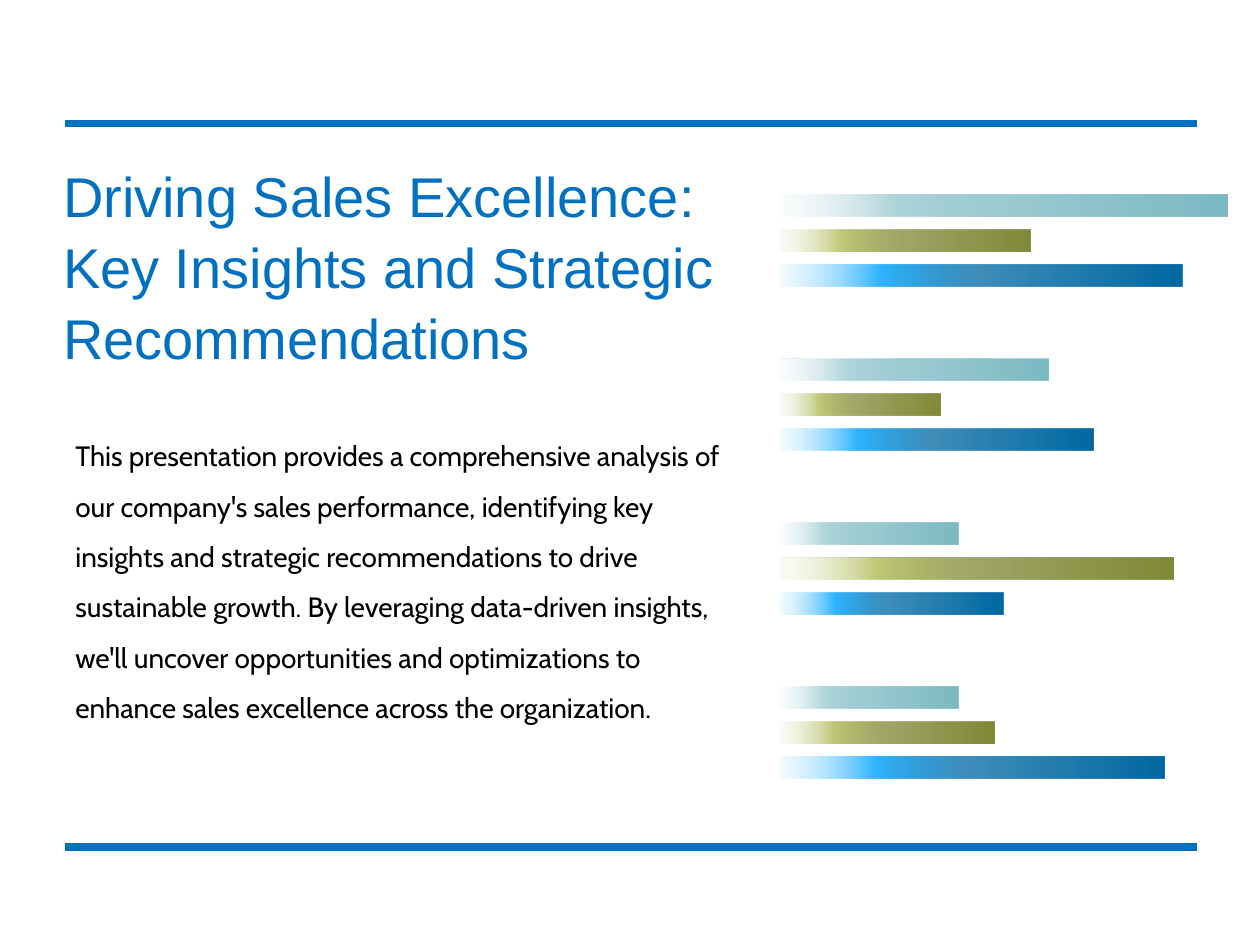
from lxml import etree
from pptx import Presentation
from pptx import util as u
from pptx.chart.data import CategoryChartData
from pptx.dml.color import RGBColor
from pptx.enum import chart as charts, shapes, text
from pptx.oxml.ns import qn

COLORS = {"accent": "0070C0", "body": "000000"}
TITLE = "Driving Sales Excellence: Key Insights and Strategic Recommendations"
BODY = (
    "This presentation provides a comprehensive analysis of our company's sales "
    "performance, identifying key insights and strategic recommendations to drive "
    "sustainable growth. By leveraging data-driven insights, we'll uncover "
    "opportunities and optimizations to enhance sales excellence across the organization."
)
CATEGORIES = ["1", "2", "3", "4"]
SERIES = [
    ("Series 1", [86, 50, 70, 90], ["0069A3", "2FB5FF", "BAE6FF"]),
    ("Series 2", [48, 88, 36, 56], ["818A37", "C0C977", "EAEDD2"]),
    ("Series 3", [40, 40, 60, 100], ["7DBAC4", "B1D6DC", "E5F1F3"]),
]
STOPS = [(0, 0, 100), (51, 0, 75), (75, 1, 100), (100, 2, 15)]
PLOT = {"x": 0.024, "y": 0.036, "w": 0.954, "h": 0.931}
RULES = [70.6, 483.8]


def add_rule(page, y):
    rule = page.shapes.add_connector(
        shapes.MSO_CONNECTOR.STRAIGHT, u.Pt(37.4), u.Pt(y), u.Pt(684), u.Pt(y))
    rule.line.color.rgb = RGBColor.from_string(COLORS["accent"])
    rule.line.width = u.Pt(4.5)
    etree.SubElement(rule._element.spPr, qn("a:effectLst"))


def write(box, words, font, size, color, spacing):
    box.text_frame.word_wrap = True
    para = box.text_frame.paragraphs[0]
    para.alignment = text.PP_ALIGN.LEFT
    para.line_spacing = spacing
    span = para.add_run()
    span.text = words
    span.font.name = font
    span.font.size = u.Pt(size)
    span.font.color.rgb = RGBColor.from_string(COLORS[color])


def place(box, left, top, width, height):
    box.left, box.top = u.Pt(left), u.Pt(top)
    box.width, box.height = u.Pt(width), u.Pt(height)


def fill_gradient(series, shades):
    series.format.fill.gradient()
    gradient = series._element.find(".//" + qn("a:gradFill"))
    for child in list(gradient):
        gradient.remove(child)
    stops = etree.SubElement(gradient, qn("a:gsLst"))
    for position, shade, opacity in STOPS:
        stop = etree.SubElement(stops, qn("a:gs"), pos=str(position * 1000))
        color = etree.SubElement(stop, qn("a:srgbClr"), val=shades[shade])
        if opacity < 100:
            etree.SubElement(color, qn("a:alpha"), val=str(opacity * 1000))
    etree.SubElement(gradient, qn("a:lin"), ang="10800000", scaled="0")


def set_plot_layout(chart):
    area = chart._chartSpace.find(".//" + qn("c:plotArea"))
    for old in area.findall(qn("c:layout")):
        area.remove(old)
    layout = etree.Element(qn("c:layout"))
    manual = etree.SubElement(layout, qn("c:manualLayout"))
    values = {"layoutTarget": "inner", "xMode": "edge", "yMode": "edge", **PLOT}
    for name, value in values.items():
        etree.SubElement(manual, qn("c:" + name), val=str(value))
    area.insert(0, layout)


def add_bars(page):
    data = CategoryChartData()
    data.categories = CATEGORIES
    for name, values, _ in SERIES:
        data.add_series(name, values)
    chart = page.shapes.add_chart(
        charts.XL_CHART_TYPE.BAR_CLUSTERED,
        u.Pt(437.8), u.Pt(76.3), u.Pt(321.8), u.Pt(402.5), data).chart
    chart.has_legend = False
    chart.has_title = False
    chart.font.name = "Arial"
    chart.font.size = u.Pt(10)
    chart.font.color.rgb = RGBColor.from_string(COLORS["body"])
    chart.value_axis.minimum_scale = 0
    chart.value_axis.maximum_scale = 120
    chart.value_axis.has_major_gridlines = False
    for axis in (chart.category_axis, chart.value_axis):
        axis.visible = False
    plot = chart.plots[0]
    plot.gap_width = 326
    plot.overlap = -58
    plot.vary_by_categories = False
    for series, (_, _, shades) in zip(plot.series, SERIES):
        series.invert_if_negative = False
        fill_gradient(series, shades)
    set_plot_layout(chart)


def main():
    deck = Presentation()
    deck.slide_width, deck.slide_height = u.Pt(720), u.Pt(540)
    page = deck.slides.add_slide(deck.slide_layouts[5])
    for y in RULES:
        add_rule(page, y)

    title = page.shapes.title
    place(title, 36, 95, 376, 116.6)
    frame = title.text_frame
    frame.margin_left = frame.margin_right = frame.margin_top = frame.margin_bottom = 0
    frame.vertical_anchor = text.MSO_ANCHOR.BOTTOM
    frame.auto_size = text.MSO_AUTO_SIZE.NONE
    write(title, TITLE, "Arial", 32, "accent", 1.05)

    body = page.shapes.add_textbox(u.Pt(36), u.Pt(237.6), u.Pt(393.8), u.Pt(208))
    write(body, BODY, "Cabin", 16, "body", 1.5)

    add_bars(page)
    deck.save("out.pptx")


if __name__ == "__main__":
    main()
